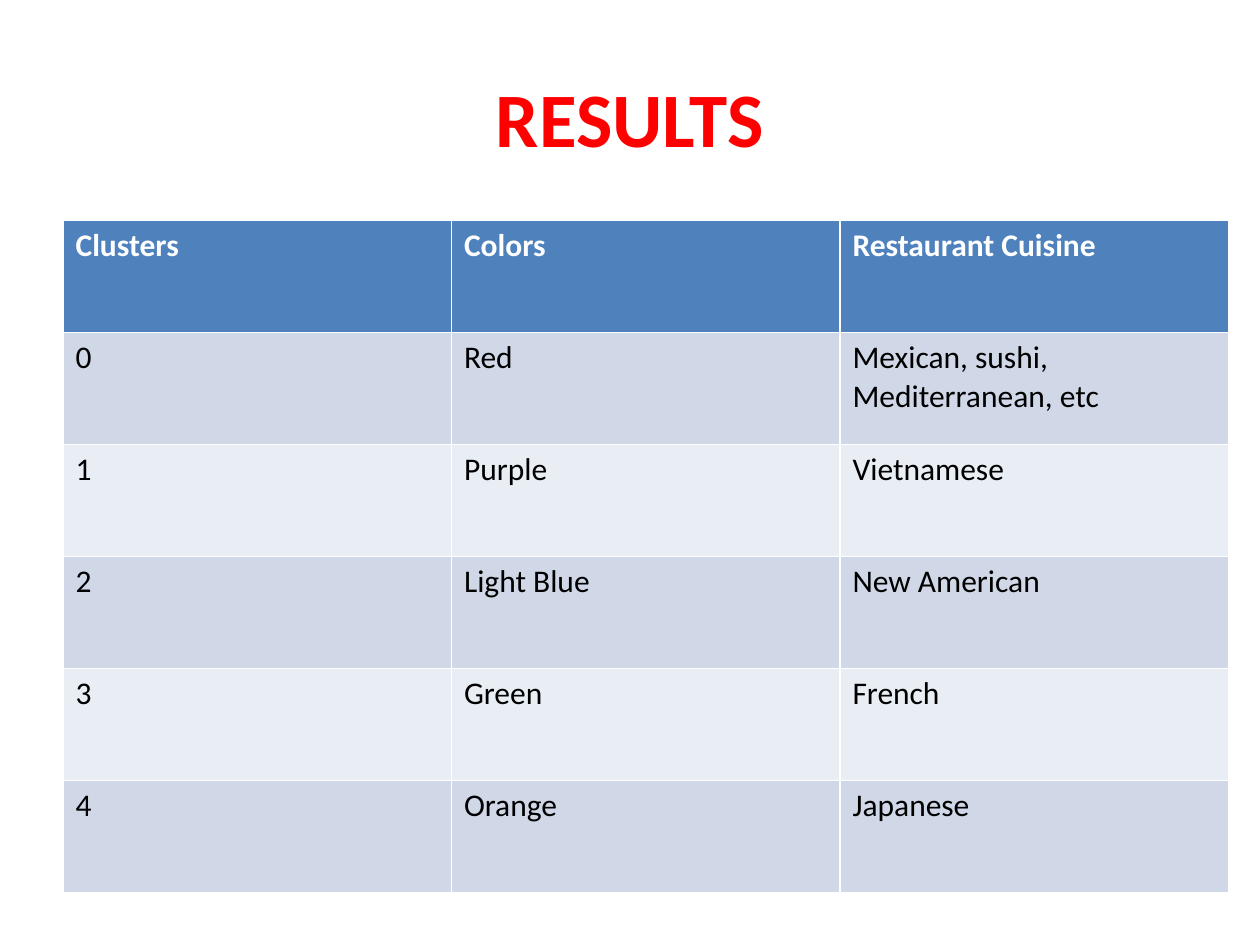
"""Build the results slide: a title above a table of restaurant clusters."""
from pptx import Presentation
from pptx.dml.color import RGBColor
from pptx.enum.text import MSO_ANCHOR, PP_ALIGN
from pptx.util import Pt

MIDDLE = MSO_ANCHOR.MIDDLE
CENTER = PP_ALIGN.CENTER
RED = RGBColor(0xFF, 0x00, 0x00)
WHITE = RGBColor(0xFF, 0xFF, 0xFF)
BLACK = RGBColor(0x00, 0x00, 0x00)
BLUE = RGBColor(0x4F, 0x81, 0xBD)
BANDS = [RGBColor(0xE9, 0xED, 0xF4), RGBColor(0xD0, 0xD8, 0xE8)]

ROWS = [
    ("Clusters", "Colors", "Restaurant Cuisine"),
    ("0", "Red", "Mexican, sushi, Mediterranean, etc "),
    ("1", "Purple", "Vietnamese"),
    ("2", "Light Blue", "New American"),
    ("3", "Green", "French"),
    ("4", "Orange", "Japanese"),
]


def add_run(para, text, size, color, bold):
    run = para.add_run()
    run.text = text
    run.font.name = "Calibri"
    run.font.size = Pt(size)
    run.font.bold = bold
    run.font.color.rgb = color


deck = Presentation()
deck.slide_width, deck.slide_height = Pt(720), Pt(540)
slide = deck.slides.add_slide(deck.slide_layouts[6])

title = slide.shapes.add_textbox(Pt(36), Pt(21.6), Pt(648), Pt(90)).text_frame
title.word_wrap = True
title.vertical_anchor = MIDDLE
title.paragraphs[0].alignment = CENTER
add_run(title.paragraphs[0], "RESULTS", 44, RED, True)

table = slide.shapes.add_table(
    len(ROWS), len(ROWS[0]), Pt(36), Pt(126), Pt(666), Pt(384)).table
for r, row in enumerate(ROWS):
    head = r == 0
    for c, text in enumerate(row):
        cell = table.cell(r, c)
        cell.fill.solid()
        cell.fill.fore_color.rgb = BLUE if head else BANDS[r % 2]
        para = cell.text_frame.paragraphs[0]
        add_run(para, text, 18, WHITE if head else BLACK, head)

deck.save("out.pptx")
